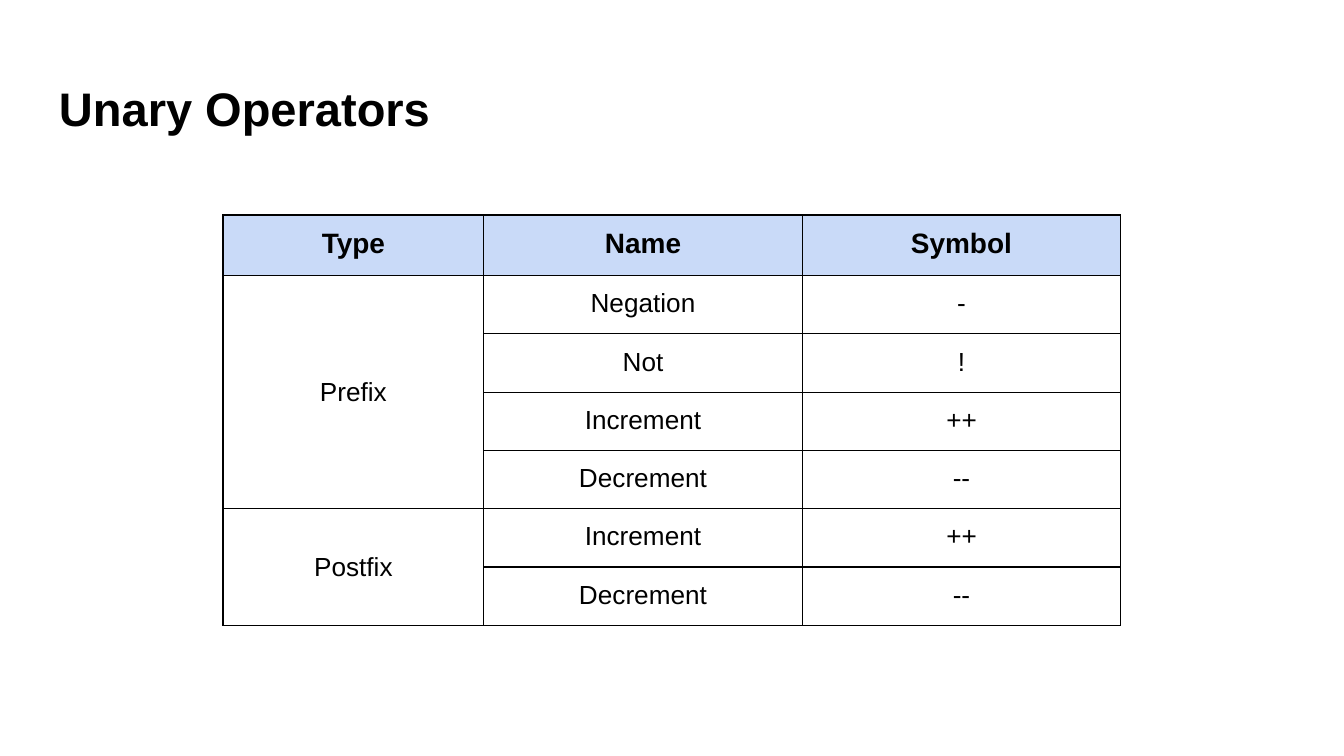
from lxml import etree
from pptx import Presentation
from pptx.dml.color import RGBColor
from pptx.enum import text
from pptx.oxml import ns
from pptx.util import Inches, Pt

BLACK = RGBColor(0x00, 0x00, 0x00)
HEADER_BLUE = RGBColor(0xC9, 0xDA, 0xF8)
INSET = Inches(0.1)

HEADINGS = ["Type", "Name", "Symbol"]
OPERATORS = {
    "Prefix": [("Negation", "-"), ("Not", "!"), ("Increment", "++"), ("Decrement", "--")],
    "Postfix": [("Increment", "++"), ("Decrement", "--")],
}


def add_run(p, words, size, bold):
    r = p.add_run()
    r.text = words
    r.font.name = "Arial"
    r.font.size = Pt(size)
    r.font.bold = bold
    r.font.color.rgb = BLACK


def add_borders(cell):
    """Draw a thin black line on all four sides, ahead of the cell's fill."""
    tcPr = cell._tc.get_or_add_tcPr()
    for i, side in enumerate(("lnL", "lnR", "lnT", "lnB")):
        ln = etree.Element(ns.qn(f"a:{side}"), w=str(Pt(0.75)))
        fill = etree.SubElement(ln, ns.qn("a:solidFill"))
        etree.SubElement(fill, ns.qn("a:srgbClr"), val=str(BLACK))
        tcPr.insert(i, ln)


prs = Presentation()
prs.slide_width = Inches(10)
prs.slide_height = Inches(10 * 9 / 16)
s = prs.slides.add_slide(prs.slide_layouts[6])

# Title
title = s.shapes.add_textbox(Inches(0.34), Inches(0.49), Inches(9.32), Inches(0.63))
tf = title.text_frame
tf.word_wrap = True
tf.margin_left = tf.margin_right = tf.margin_top = tf.margin_bottom = INSET
add_run(tf.paragraphs[0], "Unary Operators", 25.2, True)

# Rows of the table, with each type named once at the top of its group
rows = [HEADINGS]
groups = []
for kind, members in OPERATORS.items():
    groups.append((len(rows), len(rows) + len(members) - 1))
    for i, (name, symbol) in enumerate(members):
        rows.append([kind if i == 0 else "", name, symbol])

widths = [1.94, 2.37, 2.37]
heights = [0.42] + [0.4] * (len(rows) - 1)
table = s.shapes.add_table(len(rows), len(widths), Inches(1.66), Inches(1.6),
                           Inches(sum(widths)), Inches(sum(heights))).table
table.first_row = table.horz_banding = False
for column, width in zip(table.columns, widths):
    column.width = Inches(width)
for row, height in zip(table.rows, heights):
    row.height = Inches(height)

for y, row in enumerate(rows):
    for x, words in enumerate(row):
        cell = table.cell(y, x)
        cell.margin_left = cell.margin_right = INSET
        cell.margin_top = cell.margin_bottom = INSET
        if y == 0:
            cell.fill.solid()
            cell.fill.fore_color.rgb = HEADER_BLUE
        else:
            cell.fill.background()
        add_borders(cell)
        p = cell.text_frame.paragraphs[0]
        p.alignment = text.PP_ALIGN.CENTER
        if words:
            add_run(p, words, 15 if y == 0 else 14, y == 0)
        else:
            # Keeps a covered cell from stretching its row
            etree.SubElement(p._p, ns.qn("a:endParaRPr"), sz="1400")

for first, last in groups:
    cell = table.cell(first, 0)
    cell.merge(table.cell(last, 0))
    cell.vertical_anchor = text.MSO_ANCHOR.MIDDLE

prs.save("out.pptx")
